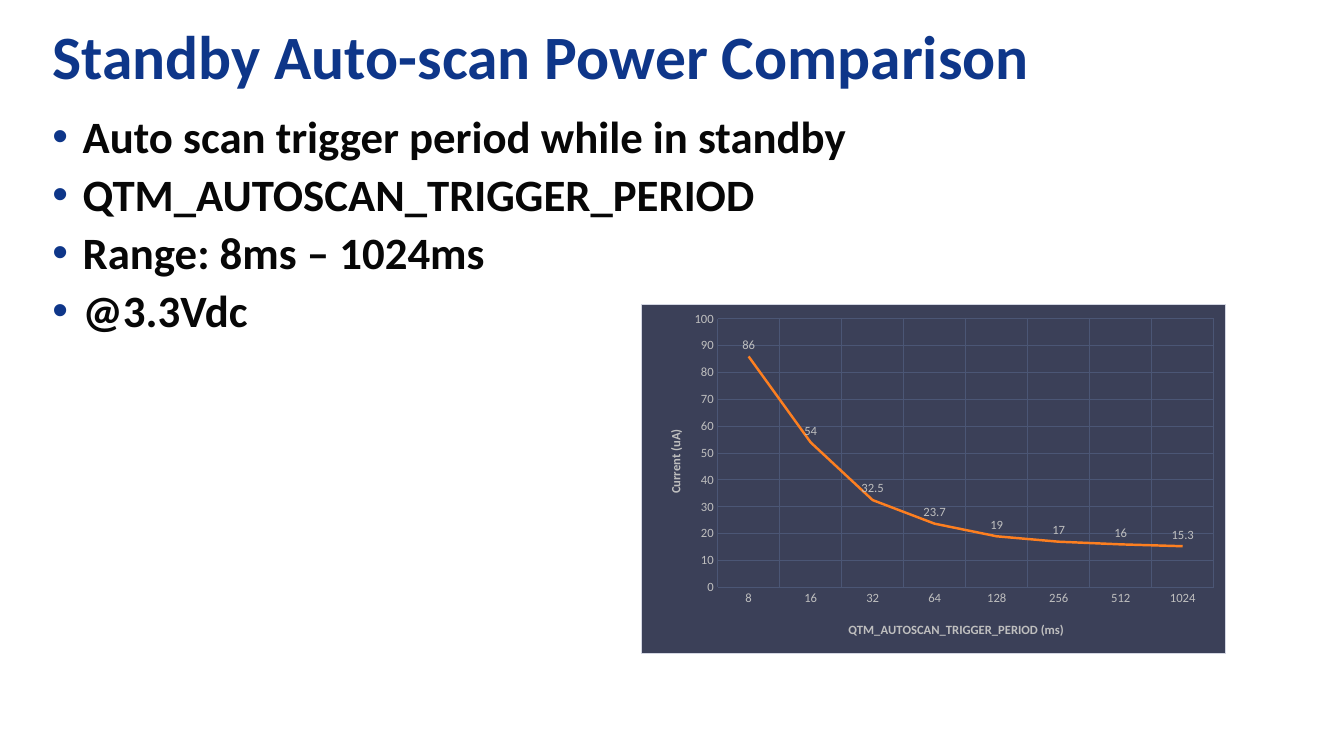
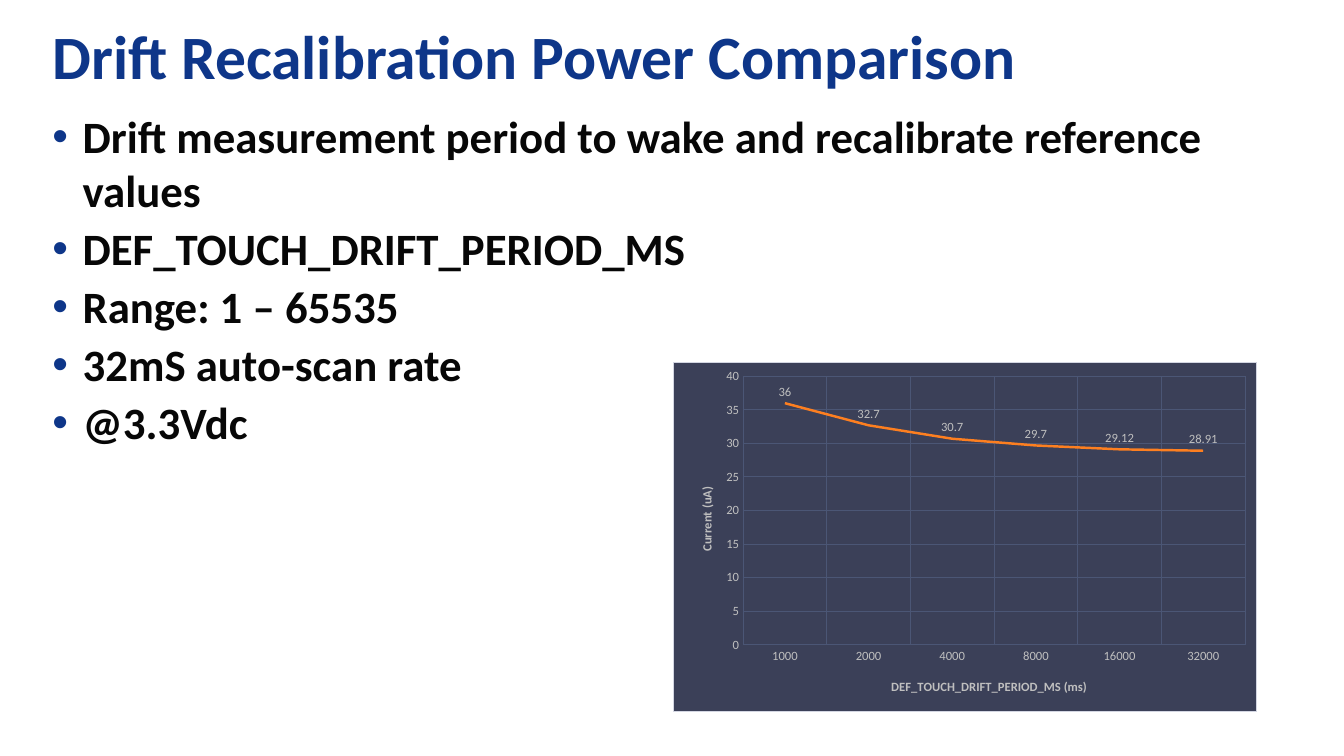
from dataclasses import dataclass
from lxml import etree
from pptx import Presentation
from pptx.chart.data import CategoryChartData
from pptx.dml.color import RGBColor
from pptx.enum.chart import XL_CHART_TYPE, XL_LABEL_POSITION, XL_TICK_MARK
from pptx.enum.text import MSO_ANCHOR
from pptx.oxml import parse_xml
from pptx.oxml.ns import nsdecls, qn
from pptx.util import Pt

LINE = XL_CHART_TYPE.LINE_STACKED
ABOVE = XL_LABEL_POSITION.ABOVE
NO_TICK = XL_TICK_MARK.NONE
TOP = MSO_ANCHOR.TOP
SCALE = 9144
BLANK = 6


@dataclass(frozen=True)
class Theme:
    font: str = "Calibri"
    blue: str = "0E3689"
    ink: str = "070707"
    panel: str = "3B4058"
    edge: str = "D3D6E2"
    grid: str = "4B5675"
    pale: str = "BFBFBF"
    curve: str = "FD7F20"
    head: int = 44
    body: int = 32
    small: int = 9


THEME = Theme()

HEAD_BOX = (39, 11, 1247, 85)
LIST_BOX = (39, 101, 1247, 589)

PAGES = [
    dict(
        title="Standby Auto-scan Power Comparison",
        items=["Auto scan trigger period while in standby",
               "QTM_AUTOSCAN_TRIGGER_PERIOD",
               "Range: 8ms – 1024ms",
               "@3.3Vdc"],
        graph=dict(box=(636, 302, 580, 347), left=74, name_left=202,
                   name="QTM_AUTOSCAN_TRIGGER_PERIOD (ms)", top=100, step=10,
                   cats=["8", "16", "32", "64", "128", "256", "512", "1024"],
                   vals=[86, 54, 32.5, 23.7, 19, 17, 16, 15.3])),
    dict(
        title="Drift Recalibration Power Comparison",
        items=["Drift measurement period to wake and recalibrate reference values",
               "DEF_TOUCH_DRIFT_PERIOD_MS",
               "Range: 1 – 65535",
               "32mS auto-scan rate",
               "@3.3Vdc"],
        graph=dict(box=(667, 359, 580, 347), left=68, name_left=212,
                   name="DEF_TOUCH_DRIFT_PERIOD_MS (ms)", top=40, step=5,
                   cats=["1000", "2000", "4000", "8000", "16000", "32000"],
                   vals=[36, 32.7, 30.7, 29.7, 29.12, 28.91])),
]


def px(n):
    return n * SCALE


def style(font, size, color, bold=False):
    font.name = THEME.font
    font.size = Pt(size)
    font.bold = bold
    font.color.rgb = RGBColor.from_string(color)


def add_text(slide, box, lines, size, color):
    frame = slide.shapes.add_textbox(*map(px, box)).text_frame
    frame.word_wrap = True
    frame.vertical_anchor = TOP
    frame.margin_left = frame.margin_right = px(13)
    frame.margin_top = frame.margin_bottom = px(7)
    frame.text = "\n".join(lines)
    for para in frame.paragraphs:
        style(para.font, size, color, True)
    return frame


def add_list(slide, box, items):
    frame = add_text(slide, box, items, THEME.body, THEME.ink)
    for para in frame.paragraphs:
        para.space_before = Pt(3)
        props = para._p.get_or_add_pPr()
        props.set("marL", str(px(30)))
        props.set("indent", str(px(-30)))
        tint = etree.SubElement(props, qn("a:buClr"))
        etree.SubElement(tint, qn("a:srgbClr"), val=THEME.blue)
        etree.SubElement(props, qn("a:buFont"), typeface="Arial")
        etree.SubElement(props, qn("a:buChar"), char="•")


def set_place(node, index, box, left, top, size=None):
    for old in node.findall(qn("c:layout")):
        node.remove(old)
    wide, high = box[2:]
    parts = [("xMode", "edge"), ("yMode", "edge"),
             ("x", round(left / wide, 2)), ("y", round(top / high, 2))]
    if size:
        parts = [("layoutTarget", "inner")] + parts
        parts += [("w", round(size[0] / wide, 2)), ("h", round(size[1] / high, 2))]
    layout = etree.Element(qn("c:layout"))
    manual = etree.SubElement(layout, qn("c:manualLayout"))
    for key, val in parts:
        etree.SubElement(manual, qn("c:" + key), val=str(val))
    node.insert(index, layout)


def set_axis(axis, name, box, left, top, turn=0):
    axis.major_tick_mark = axis.minor_tick_mark = NO_TICK
    axis.format.line.fill.background()
    style(axis.tick_labels.font, THEME.small, THEME.pale)
    axis.has_major_gridlines = True
    line = axis.major_gridlines.format.line
    line.color.rgb = RGBColor.from_string(THEME.grid)
    line.width = Pt(0.75)
    frame = axis.axis_title.text_frame
    frame.text = name
    style(frame.paragraphs[0].font, THEME.small, THEME.pale, True)
    frame._txBody.bodyPr.set("rot", str(turn * 60000))
    set_place(axis.axis_title._element, 1, box, left, top)


def set_panel(chart):
    panel = parse_xml(
        f'<c:spPr {nsdecls("c", "a")}>'
        f'<a:solidFill><a:srgbClr val="{THEME.panel}"/></a:solidFill>'
        f'<a:ln w="{Pt(0.75)}"><a:solidFill><a:srgbClr val="{THEME.edge}"/>'
        '</a:solidFill></a:ln></c:spPr>')
    chart._chartSpace.find(qn("c:chart")).addnext(panel)


def add_graph(slide, box, left, name_left, name, top, step, cats, vals):
    data = CategoryChartData()
    data.categories = cats
    data.add_series("Series 1", vals)
    chart = slide.shapes.add_chart(LINE, *map(px, box), data).chart
    style(chart.font, THEME.small, THEME.pale)
    chart.has_title = chart.has_legend = False
    set_panel(chart)

    area = chart._chartSpace.find(qn("c:chart")).find(qn("c:plotArea"))
    set_place(area, 0, box, left, 14, (box[2] - left - 12, 268))
    set_axis(chart.category_axis, name, box, name_left, 313)
    set_axis(chart.value_axis, "Current (uA)", box, 24, 121, -90)
    chart.value_axis.minimum_scale = 0
    chart.value_axis.maximum_scale = top
    chart.value_axis.major_unit = step

    plot = chart.plots[0]
    plot.vary_by_categories = False
    plot.has_data_labels = True
    labels = plot.data_labels
    labels.show_value = True
    labels.position = ABOVE
    style(labels.font, THEME.small, THEME.pale)
    curve = plot.series[0]
    curve.smooth = False
    curve.format.line.color.rgb = RGBColor.from_string(THEME.curve)
    curve.format.line.width = Pt(1.75)


def add_page(deck, title, items, graph):
    slide = deck.slides.add_slide(deck.slide_layouts[BLANK])
    add_text(slide, HEAD_BOX, [title], THEME.head, THEME.blue)
    add_list(slide, LIST_BOX, items)
    add_graph(slide, **graph)


def main():
    deck = Presentation()
    deck.slide_width, deck.slide_height = px(1333), px(750)
    for page in PAGES:
        add_page(deck, **page)
    deck.save("out.pptx")


if __name__ == "__main__":
    main()
